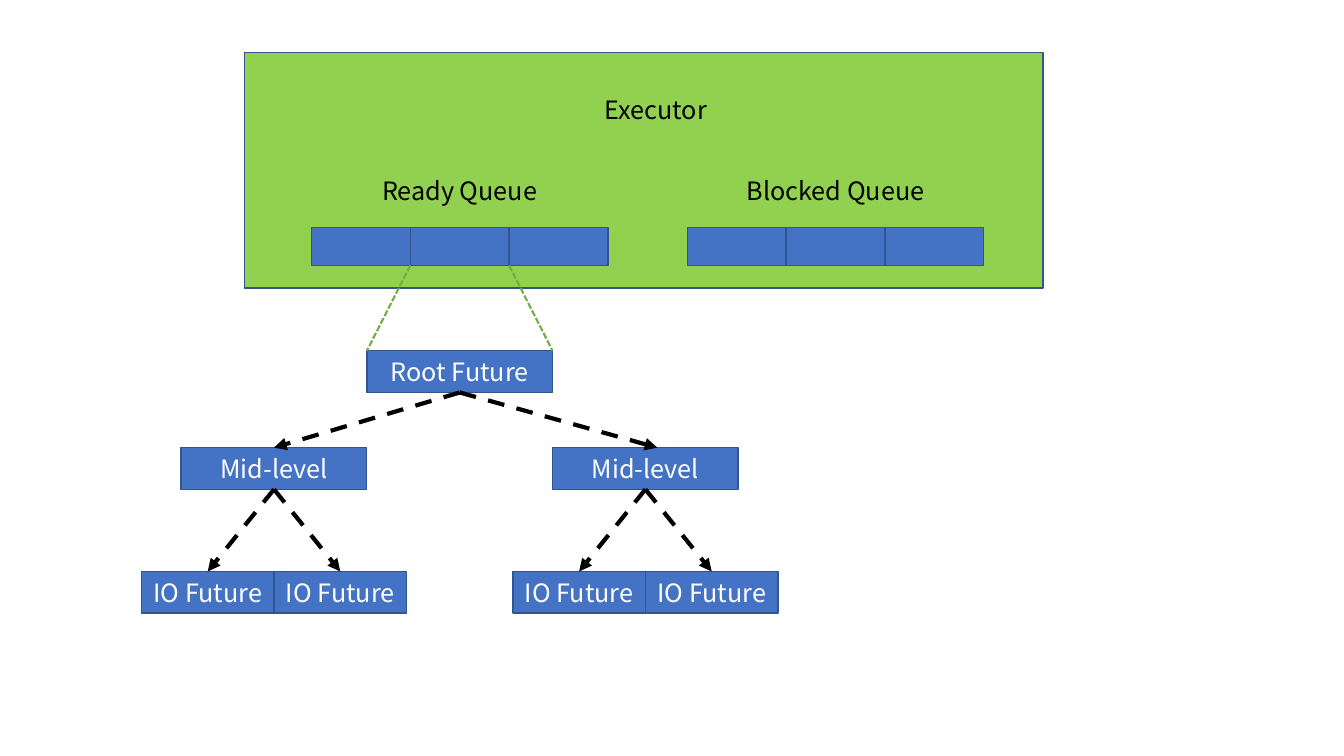
from pptx import Presentation
from pptx.dml.color import RGBColor
from pptx.enum.dml import MSO_LINE
from pptx.enum.shapes import MSO_CONNECTOR, MSO_SHAPE
from pptx.enum.text import MSO_ANCHOR, PP_ALIGN
from pptx.oxml.ns import qn
from pptx.util import Cm, Pt
from lxml.etree import SubElement

FONT = "Noto Sans CJK SC"
BLUE, GREEN, BORDER = "4472C4", "92D050", "325491"
BLACK, WHITE, GUIDE = "000000", "FFFFFF", "70AD47"

prs = Presentation()
prs.slide_width, prs.slide_height = Cm(33.87), Cm(19.05)
slide = prs.slides.add_slide(prs.slide_layouts[6])


def add_box(x, y, w, h, text="", fill=None, color=WHITE):
    """Add a bordered rectangle, or a plain text box when fill is None."""
    if fill:
        sp = slide.shapes.add_shape(MSO_SHAPE.RECTANGLE, Cm(x), Cm(y), Cm(w), Cm(h))
        sp.shadow.inherit = False
        sp.fill.solid()
        sp.fill.fore_color.rgb = RGBColor.from_string(fill)
        sp.line.color.rgb = RGBColor.from_string(BORDER)
        sp.line.width = Pt(1)
    else:
        sp = slide.shapes.add_textbox(Cm(x), Cm(y), Cm(w), Cm(h))
    if text:
        tf = sp.text_frame
        tf.word_wrap = True
        tf.vertical_anchor = MSO_ANCHOR.MIDDLE if fill else MSO_ANCHOR.TOP
        p = tf.paragraphs[0]
        p.alignment = PP_ALIGN.CENTER
        r = p.add_run()
        r.text = text
        r.font.size = Pt(18)
        r.font.name = FONT
        r.font.color.rgb = RGBColor.from_string(color)


def add_line(x1, y1, x2, y2, color, width, dash, arrow=False):
    cx = slide.shapes.add_connector(
        MSO_CONNECTOR.STRAIGHT, Cm(x1), Cm(y1), Cm(x2), Cm(y2))
    cx.line.color.rgb = RGBColor.from_string(color)
    cx.line.width = Pt(width)
    cx.line.dash_style = dash
    if arrow:
        SubElement(cx.line._get_or_add_ln(), qn("a:tailEnd"), type="triangle")
    SubElement(cx._element.spPr, qn("a:effectLst"))


# Executor with its two queues
label_w, label_h = 6.17, 1.02
cell_w, cell_h, queue_y = 2.49, 0.95, 5.74
ready_x, blocked_x = 7.85, 17.32
add_box(6.17, 1.32, 20.12, 5.94, fill=GREEN)
add_box(13.44, 2.24, label_w, label_h, "Executor", color=BLACK)
for queue_x, name in ((ready_x, "Ready Queue"), (blocked_x, "Blocked Queue")):
    for i in range(3):
        add_box(queue_x + i * cell_w, queue_y, cell_w, cell_h, fill=BLUE)
    add_box(queue_x + (3 * cell_w - label_w) / 2, 4.29, label_w, label_h, name, color=BLACK)

# Tree of futures, hung from the middle cell of the ready queue
node_w, io_w, node_h = 4.68, 3.34, 1.05
root_y, mid_y, io_y = 8.84, 11.28, 14.4
root_cx = ready_x + 1.5 * cell_w
mids = (root_cx - node_w, root_cx + node_w)
add_box(root_cx - node_w / 2, root_y, node_w, node_h, "Root Future", BLUE)
for mid_cx in mids:
    add_box(mid_cx - node_w / 2, mid_y, node_w, node_h, "Mid-level", BLUE)
    for io_x in (mid_cx - io_w, mid_cx):
        add_box(io_x, io_y, io_w, node_h, "IO Future", BLUE)

for side in (-1, 1):
    add_line(root_cx + side * cell_w / 2, queue_y + cell_h,
             root_cx + side * node_w / 2, root_y, GUIDE, 1.5, MSO_LINE.SQUARE_DOT)
# The right-hand arrow lands slightly past the centre of its node
for mid_cx, shift in zip(mids, (0, 0.3)):
    add_line(root_cx, root_y + node_h, mid_cx + shift, mid_y,
             BLACK, 3, MSO_LINE.DASH, arrow=True)
for mid_cx in mids:
    for side in (-1, 1):
        add_line(mid_cx, mid_y + node_h, mid_cx + side * io_w / 2, io_y,
                 BLACK, 3, MSO_LINE.DASH, arrow=True)

prs.save("out.pptx")
